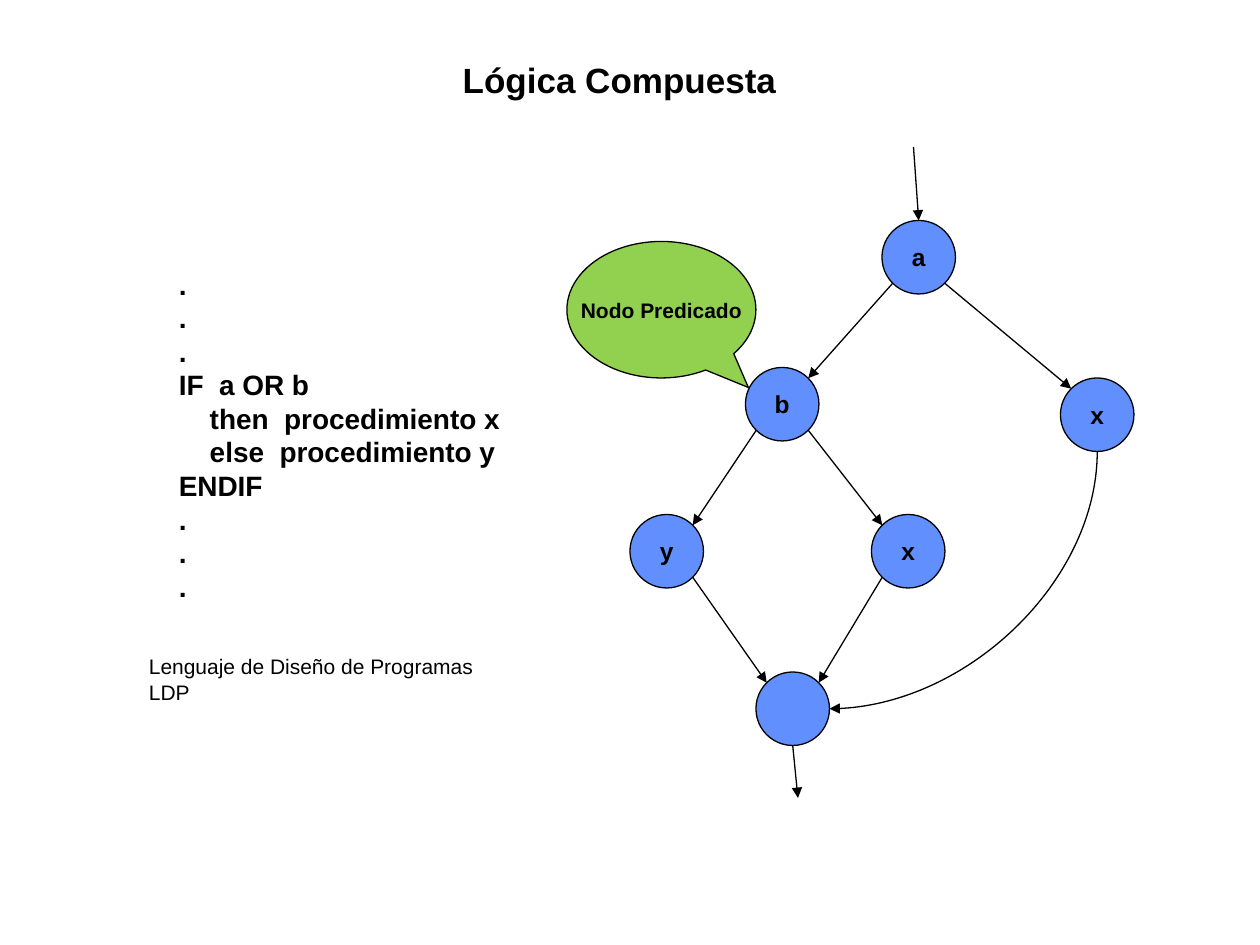
from dataclasses import dataclass
from math import cos, radians, sin

from lxml.etree import SubElement
from pptx import Presentation
from pptx.dml.color import RGBColor
from pptx.enum.shapes import MSO_CONNECTOR, MSO_SHAPE
from pptx.enum.text import MSO_ANCHOR, MSO_AUTO_SIZE, PP_ALIGN
from pptx.oxml.ns import qn
from pptx.shapes.autoshape import Shape
from pptx.shapes.connector import Connector
from pptx.slide import Slide
from pptx.text.text import TextFrame
from pptx.util import Inches, Pt

BLACK = RGBColor(0x00, 0x00, 0x00)
BLUE = RGBColor(0x61, 0x8F, 0xFD)
GREEN = RGBColor(0x92, 0xD0, 0x50)
FONT = "Arial"

# The grid has 12 cells to the inch: 120 columns by 90 rows.
CELL = Inches(1) // 12
NODE_SIZE = 7

# Angles around a node, clockwise from the right
RIGHT, BOTTOM_RIGHT, BOTTOM, BOTTOM_LEFT = 0, 45, 90, 135
TOP_LEFT, TOP, TOP_RIGHT = 225, 270, 315

Point = tuple[float, float]


@dataclass(frozen=True)
class Node:
    column: float
    row: float
    label: str = ""

    def edge(self, angle: float) -> Point:
        """Return the point on the circle at the given angle."""
        radius = NODE_SIZE / 2
        return (self.column + radius + radius * cos(radians(angle)),
                self.row + radius + radius * sin(radians(angle)))


@dataclass(frozen=True)
class TextBlock:
    column: float
    row: float
    columns: float
    rows: float
    lines: tuple[str, ...]
    size: int
    bold: bool = True
    wrap: bool = False
    alignment: PP_ALIGN = PP_ALIGN.LEFT


NODE_A = Node(84, 21, "a")
NODE_B = Node(71, 35, "b")
NODE_X_RIGHT = Node(101, 36, "x")
NODE_X = Node(83, 49, "x")
NODE_Y = Node(60, 49, "y")
NODE_END = Node(72, 64)
NODES = (NODE_A, NODE_X, NODE_B, NODE_X_RIGHT, NODE_Y, NODE_END)

ARROWS: tuple[tuple[Point, Point], ...] = (
    (NODE_A.edge(BOTTOM_LEFT), NODE_B.edge(TOP_RIGHT)),
    (NODE_A.edge(BOTTOM_RIGHT), NODE_X_RIGHT.edge(TOP_LEFT)),
    (NODE_B.edge(BOTTOM_RIGHT), NODE_X.edge(TOP_LEFT)),
    (NODE_B.edge(BOTTOM_LEFT), NODE_Y.edge(TOP_RIGHT)),
    (NODE_Y.edge(BOTTOM_RIGHT), NODE_END.edge(TOP_LEFT)),
    (NODE_X.edge(BOTTOM_LEFT), NODE_END.edge(TOP_RIGHT)),
    (NODE_END.edge(BOTTOM), (76, 76)),
    ((87, 14), NODE_A.edge(TOP)),
)

DOTS = (".",) * 3
CODE = (
    "IF  a OR b",
    "    then  procedimiento x",
    "    else  procedimiento y",
    "ENDIF",
)
TEXT_BLOCKS = (
    TextBlock(4, 5, 110, 5.25, ("Lógica Compuesta",), 20,
              wrap=True, alignment=PP_ALIGN.CENTER),
    TextBlock(15.85, 24.85, 33, 33.25, DOTS + CODE + DOTS, 16),
    TextBlock(13, 61.7, 37.7, 3.6, ("Lenguaje de Diseño de Programas LDP",), 12,
              bold=False),
)


def cells(*counts: float) -> list[int]:
    return [round(count * CELL) for count in counts]


def write_lines(frame: TextFrame, lines: tuple[str, ...], size: int,
                bold: bool, alignment: PP_ALIGN) -> None:
    for index, line in enumerate(lines):
        paragraph = frame.add_paragraph() if index else frame.paragraphs[0]
        paragraph.alignment = alignment
        run = paragraph.add_run()
        run.text = line
        run.font.name = FONT
        run.font.size = Pt(size)
        run.font.bold = bold
        run.font.color.rgb = BLACK


def add_text_block(slide: Slide, block: TextBlock) -> None:
    box = slide.shapes.add_textbox(
        *cells(block.column, block.row, block.columns, block.rows))
    frame = box.text_frame
    frame.word_wrap = block.wrap
    frame.auto_size = MSO_AUTO_SIZE.SHAPE_TO_FIT_TEXT
    write_lines(frame, block.lines, block.size, block.bold, block.alignment)


def add_labelled_shape(slide: Slide, kind: MSO_SHAPE, bounds: list[int],
                       fill: RGBColor, label: str, size: int) -> Shape:
    shape = slide.shapes.add_shape(kind, *bounds)
    shape.shadow.inherit = False
    shape.fill.solid()
    shape.fill.fore_color.rgb = fill
    shape.line.color.rgb = BLACK
    shape.line.width = Pt(0.75)
    frame = shape.text_frame
    frame.word_wrap = False
    frame.vertical_anchor = MSO_ANCHOR.MIDDLE
    if label:
        write_lines(frame, (label,), size, True, PP_ALIGN.CENTER)
    return shape


def add_arrow(slide: Slide, start: Point, end: Point,
              kind: MSO_CONNECTOR = MSO_CONNECTOR.STRAIGHT) -> Connector:
    connector = slide.shapes.add_connector(kind, *cells(*start, *end))
    connector.line.color.rgb = BLACK
    connector.line.width = Pt(0.75)
    SubElement(connector.line._get_or_add_ln(), qn("a:tailEnd"), type="triangle")
    SubElement(connector._element.spPr, qn("a:effectLst"))
    return connector


def add_quarter_arc(slide: Slide, start: Point, end: Point) -> None:
    """Draw a curve that leaves downwards and arrives leftwards.

    The preset leaves to the right, so it is turned by 90 degrees about its
    centre, with its width and height exchanged.
    """
    center_x, center_y = (start[0] + end[0]) / 2, (start[1] + end[1]) / 2
    half_width, half_height = (end[1] - start[1]) / 2, (start[0] - end[0]) / 2
    connector = add_arrow(slide,
                          (center_x - half_width, center_y - half_height),
                          (center_x + half_width, center_y + half_height),
                          MSO_CONNECTOR.CURVE)
    properties = connector._element.spPr
    properties.find(qn("a:xfrm")).set("rot", str(90 * 60000))
    properties.find(qn("a:prstGeom")).set("prst", "curvedConnector2")


def main() -> None:
    presentation = Presentation()
    presentation.slide_width = 120 * CELL
    presentation.slide_height = 90 * CELL
    slide = presentation.slides.add_slide(presentation.slide_layouts[6])

    for block in TEXT_BLOCKS:
        add_text_block(slide, block)
    for node in NODES:
        bounds = cells(node.column, node.row, NODE_SIZE, NODE_SIZE)
        add_labelled_shape(slide, MSO_SHAPE.OVAL, bounds, BLUE, node.label, 14)
    for start, end in ARROWS:
        add_arrow(slide, start, end)
    add_quarter_arc(slide, NODE_X_RIGHT.edge(BOTTOM), NODE_END.edge(RIGHT))

    callout = add_labelled_shape(slide, MSO_SHAPE.OVAL_CALLOUT,
                                 cells(54, 23, 18, 13), GREEN,
                                 "Nodo Predicado", 12)
    callout.adjustments[0] = 0.46
    callout.adjustments[1] = 0.57

    presentation.save("out.pptx")


if __name__ == "__main__":
    main()
